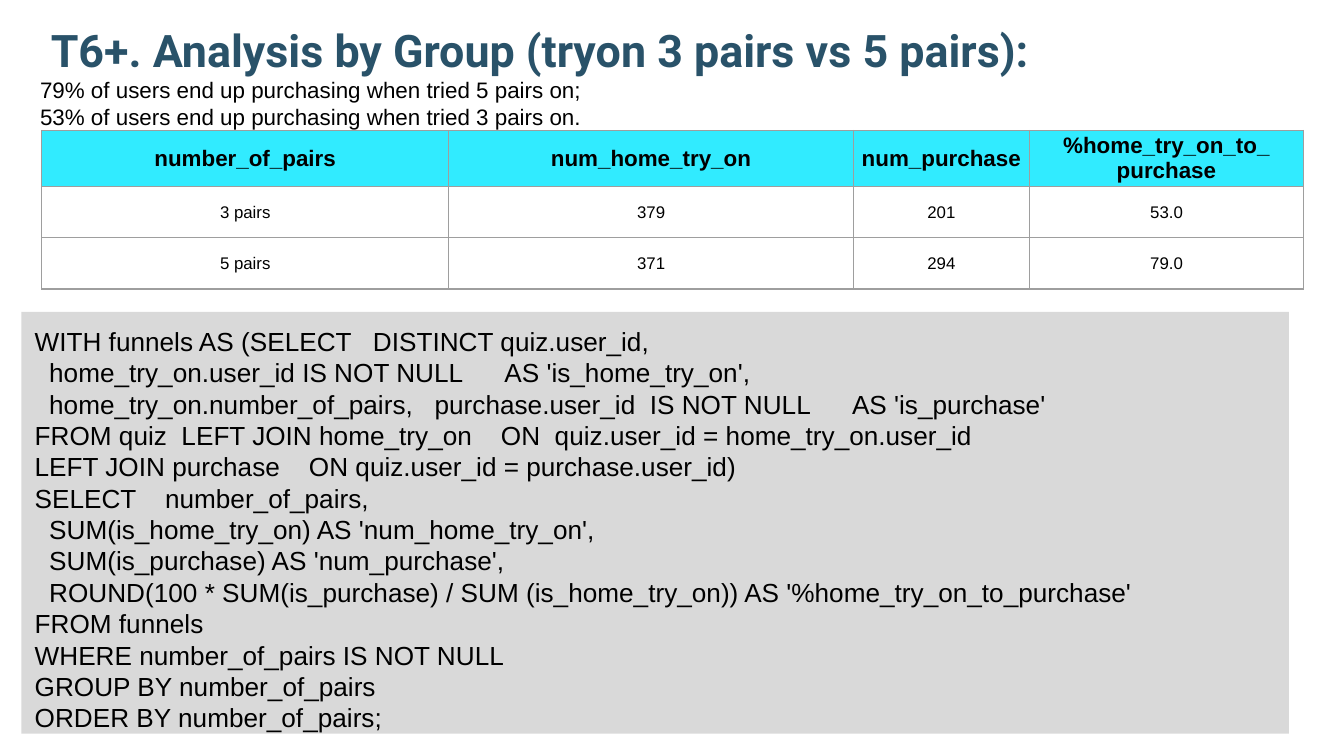
from dataclasses import dataclass

from lxml import etree
from pptx import Presentation
from pptx.dml.color import RGBColor
from pptx.enum.shapes import MSO_SHAPE
from pptx.enum.text import MSO_ANCHOR, PP_ALIGN
from pptx.oxml.ns import qn
from pptx.util import Inches, Pt

RECT = MSO_SHAPE.RECTANGLE
TOP, MIDDLE, BOTTOM = MSO_ANCHOR.TOP, MSO_ANCHOR.MIDDLE, MSO_ANCHOR.BOTTOM
LEFT, CENTER = PP_ALIGN.LEFT, PP_ALIGN.CENTER


@dataclass(frozen=True)
class Theme:
    ink: str = "000000"
    title: str = "295269"
    head: str = "31EBFF"
    panel: str = "D9D9D9"
    border: str = "9E9E9E"
    body_font: str = "Arial"
    title_font: str = "Roboto"
    title_size: float = 24
    note_size: float = 12
    code_size: float = 14
    cell_size: float = 9
    border_size: float = 0.75


@dataclass(frozen=True)
class Style:
    size: float
    font: str = Theme.body_font
    color: str = Theme.ink
    bold: bool = False
    align: PP_ALIGN = LEFT
    spacing: float = 1.0


@dataclass(frozen=True)
class Box:
    left: float
    top: float
    width: float
    height: float

    def emu(self) -> tuple:
        return tuple(Inches(n) for n in (self.left, self.top, self.width, self.height))


THEME = Theme()
TITLE = Style(THEME.title_size, THEME.title_font, THEME.title, True)
NOTE = Style(THEME.note_size)
CODE = Style(THEME.code_size)
HEAD = Style(THEME.note_size, bold=True, align=CENTER)
CELL = Style(THEME.cell_size, align=CENTER, spacing=1.07)

HEADING = "T6+. Analysis by Group (tryon 3 pairs vs 5 pairs):"
NOTES = """79% of users end up purchasing when tried 5 pairs on;
53% of users end up purchasing when tried 3 pairs on."""
ROWS = [
    ["number_of_pairs", "num_home_try_on", "num_purchase", "%home_try_on_to_\npurchase"],
    ["3 pairs", "379", "201", "53.0"],
    ["5 pairs", "371", "294", "79.0"],
]
WIDTHS = [3.03, 3.01, 1.31, 2.04]
HEIGHTS = [0.42, 0.38, 0.38]
QUERY = """WITH funnels AS (SELECT   DISTINCT quiz.user_id,
  home_try_on.user_id IS NOT NULL      AS 'is_home_try_on',
  home_try_on.number_of_pairs,   purchase.user_id  IS NOT NULL      AS 'is_purchase'
FROM quiz  LEFT JOIN home_try_on    ON  quiz.user_id = home_try_on.user_id
LEFT JOIN purchase    ON quiz.user_id = purchase.user_id)
SELECT    number_of_pairs,
  SUM(is_home_try_on) AS 'num_home_try_on',
  SUM(is_purchase) AS 'num_purchase',
  ROUND(100 * SUM(is_purchase) / SUM (is_home_try_on)) AS '%home_try_on_to_purchase'
FROM funnels
WHERE number_of_pairs IS NOT NULL
GROUP BY number_of_pairs
ORDER BY number_of_pairs;"""


def style_text(para, style: Style) -> None:
    para.alignment = style.align
    para.line_spacing = style.spacing
    for run in para.runs:
        run.font.name = style.font
        run.font.size = Pt(style.size)
        run.font.bold = style.bold
        run.font.color.rgb = RGBColor.from_string(style.color)


def set_frame(frame, text: str, styles: list[Style], anchor: MSO_ANCHOR) -> None:
    """Fill a frame; the last style serves all remaining paragraphs."""
    frame.word_wrap = True
    frame.vertical_anchor = anchor
    frame.margin_left = frame.margin_right = Inches(0.1)
    frame.margin_top = frame.margin_bottom = Inches(0.1)
    frame.text = text
    for i, para in enumerate(frame.paragraphs):
        style_text(para, styles[min(i, len(styles) - 1)])


def add_panel(slide, box: Box) -> None:
    panel = slide.shapes.add_shape(RECT, *box.emu())
    panel.shadow.inherit = False
    panel.fill.solid()
    panel.fill.fore_color.rgb = RGBColor.from_string(THEME.panel)
    panel.line.fill.background()
    set_frame(panel.text_frame, QUERY, [CODE], TOP)


def add_title(slide, box: Box) -> None:
    frame = slide.shapes.add_textbox(*box.emu()).text_frame
    set_frame(frame, f"{HEADING}\n{NOTES}", [TITLE, NOTE], BOTTOM)
    props = frame.paragraphs[0]._p.get_or_add_pPr()
    props.set("marL", str(Inches(0.08)))


def add_border(cell) -> None:
    props = cell._tc.get_or_add_tcPr()
    for i, side in enumerate(("a:lnL", "a:lnR", "a:lnT", "a:lnB")):
        line = etree.Element(qn(side), w=str(Pt(THEME.border_size)))
        fill = etree.SubElement(line, qn("a:solidFill"))
        etree.SubElement(fill, qn("a:srgbClr"), val=THEME.border)
        props.insert(i, line)


def set_cell(cell, text: str, header: bool) -> None:
    cell.margin_left = cell.margin_right = Inches(0.01)
    cell.margin_top = cell.margin_bottom = Inches(0.01)
    cell.vertical_anchor = MIDDLE
    cell.text_frame.text = text
    for para in cell.text_frame.paragraphs:
        style_text(para, HEAD if header else CELL)
    if header:
        cell.fill.solid()
        cell.fill.fore_color.rgb = RGBColor.from_string(THEME.head)
    else:
        cell.fill.background()
    add_border(cell)


def add_grid(slide, left: float, top: float) -> None:
    box = Box(left, top, sum(WIDTHS), sum(HEIGHTS))
    table = slide.shapes.add_table(len(ROWS), len(WIDTHS), *box.emu()).table
    table.first_row = table.horz_banding = False
    for col, width in zip(table.columns, WIDTHS):
        col.width = Inches(width)
    for r, (row, height) in enumerate(zip(table.rows, HEIGHTS)):
        row.height = Inches(height)
        for c, text in enumerate(ROWS[r]):
            set_cell(table.cell(r, c), text, r == 0)


def main() -> None:
    deck = Presentation()
    # Widescreen, 16 by 9
    deck.slide_width = Inches(10)
    deck.slide_height = Inches(10 * 9 / 16)
    slide = deck.slides.add_slide(deck.slide_layouts[6])

    # Query panel, then heading with findings, then result table
    add_panel(slide, Box(0.16, 2.32, 9.43, 3.14))
    add_title(slide, Box(0.2, 0.45, 9.24, 0.62))
    add_grid(slide, 0.31, 0.97)

    deck.save("out.pptx")


if __name__ == "__main__":
    main()
